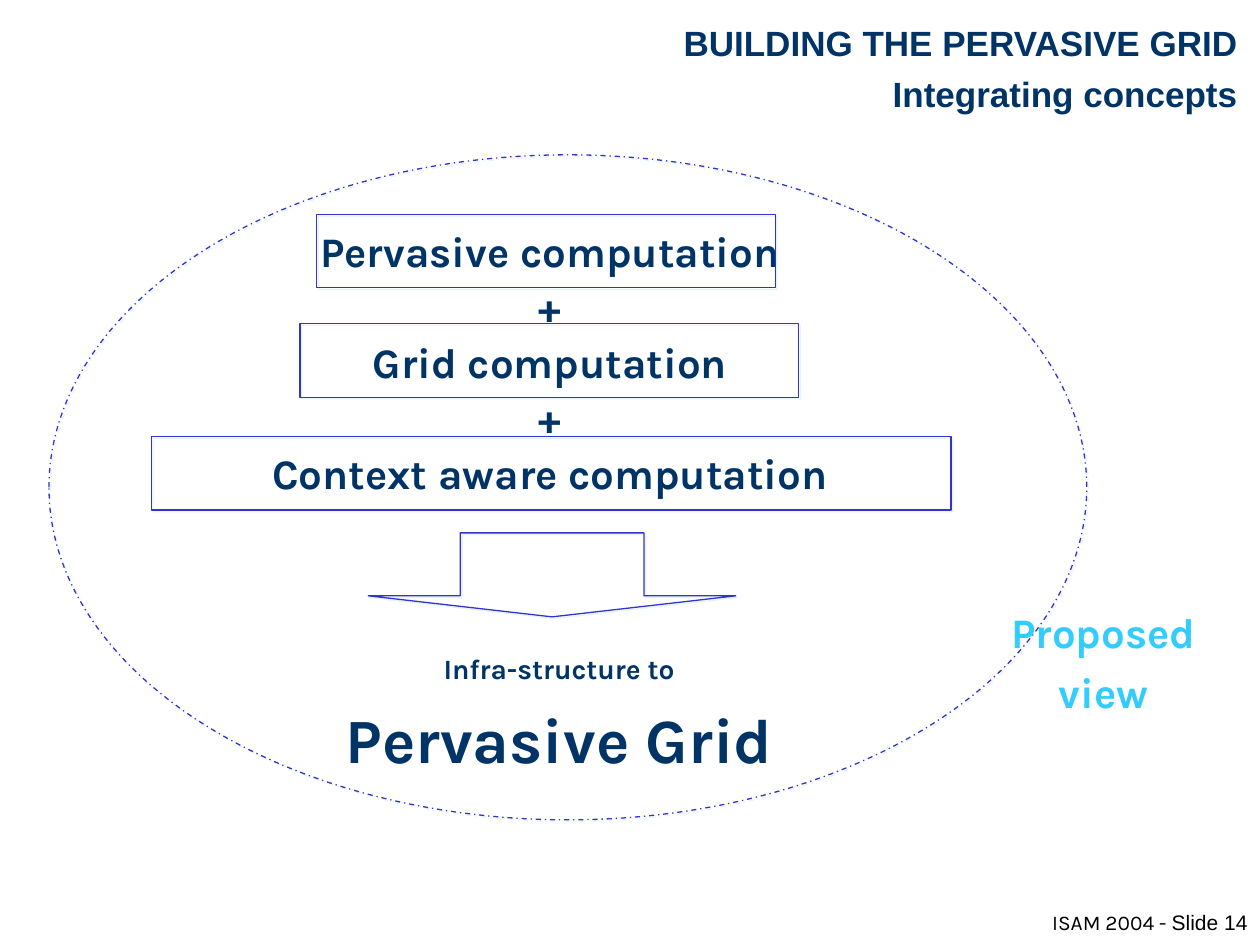
"""Build the slide that joins three kinds of computation into the pervasive grid."""
from copy import deepcopy
from typing import NamedTuple

from lxml import etree
from pptx import Presentation
from pptx.dml.color import RGBColor
from pptx.enum import dml, shapes, text
from pptx.oxml import ns
from pptx.util import Pt

NAVY = RGBColor(0x00, 0x33, 0x66)
BLUE = RGBColor(0x33, 0x33, 0xCC)
CYAN = RGBColor(0x33, 0xCC, 0xFF)
PALE = RGBColor(0xCC, 0xEC, 0xFF)
BLACK = RGBColor(0x00, 0x00, 0x00)
KIND = shapes.MSO_SHAPE
ALIGN = text.PP_ALIGN


class Box(NamedTuple):
    left: float
    top: float
    width: float
    height: float


class Run(NamedTuple):
    words: str
    size: float
    font: str = "Karla"
    color: RGBColor = NAVY
    bold: bool = True


class Form(NamedTuple):
    kind: KIND
    box: Box
    dash: bool = False


FORMS = [
    Form(KIND.DOWN_ARROW, Box(210.5, 304.5, 210, 48)),
    Form(KIND.RECTANGLE, Box(181, 122.5, 262, 42)),
    Form(KIND.RECTANGLE, Box(171.5, 185, 285, 42)),
    Form(KIND.RECTANGLE, Box(86.5, 249.5, 457, 42)),
    Form(KIND.OVAL, Box(28, 88.5, 593, 380), dash=True),
]


def place(shape, box: Box) -> None:
    """Move a shape to its box."""
    shape.left, shape.top, shape.width, shape.height = map(Pt, box)


def write(shape, runs: list[Run], align=ALIGN.CENTER, lead: float = 1.2,
          gap: float = 15, anchor=text.MSO_ANCHOR.TOP, right: float = 7.2) -> None:
    """Fill a shape with one paragraph of runs."""
    frame = shape.text_frame
    frame.word_wrap = True
    frame.auto_size = text.MSO_AUTO_SIZE.NONE
    frame.vertical_anchor = anchor
    frame.margin_left, frame.margin_right = Pt(7.2), Pt(right)
    frame.margin_top = frame.margin_bottom = Pt(3.6)
    para = frame.paragraphs[0]
    para.alignment, para.line_spacing, para.space_before = align, lead, Pt(gap)
    for item in runs:
        for row, words in enumerate(item.words.split("\n")):
            if row:
                para.add_line_break()
                para._p[-1].append(deepcopy(run._r.rPr))
            run = para.add_run()
            run.text = words
            font = run.font
            font.name, font.size, font.bold = item.font, Pt(item.size), item.bold
            font.color.rgb = item.color


def label(slide, box: Box, runs: list[Run], **style) -> None:
    """Add a text box with formatted text."""
    write(slide.shapes.add_textbox(*map(Pt, box)), runs, **style)


def draw(slide, form: Form) -> None:
    """Add an outlined shape with a pale offset shadow."""
    shape = slide.shapes.add_shape(form.kind, *map(Pt, form.box))
    if form.kind == KIND.DOWN_ARROW:
        shape.adjustments[0], shape.adjustments[1] = 0.5, 0.25
    shape.fill.background()
    shape.line.color.rgb = BLUE
    shape.line.width = Pt(0.75)
    if form.dash:
        shape.line.dash_style = dml.MSO_LINE.DASH_DOT
    shape.shadow.inherit = False
    effects = shape._element.spPr.find(ns.qn("a:effectLst"))
    shade = etree.SubElement(effects, ns.qn("a:outerShdw"), dist=str(Pt(1.4)),
                             dir="2700000", algn="ctr", rotWithShape="0")
    color = etree.SubElement(shade, ns.qn("a:srgbClr"), val=str(PALE))
    etree.SubElement(color, ns.qn("a:alpha"), val="50000")


def main() -> None:
    """Build and save the slide."""
    deck = Presentation()
    deck.slide_width, deck.slide_height = Pt(720), Pt(540)
    slide = deck.slides.add_slide(deck.slide_layouts[5])
    title = slide.shapes.title
    place(title, Box(119.5, 3, 600.5, 67))
    write(title, [Run("BUILDING THE PERVASIVE GRID\nIntegrating concepts", 20, "Arial")],
          align=ALIGN.RIGHT, gap=5, anchor=text.MSO_ANCHOR.MIDDLE, right=12.8)
    label(slide, Box(541.5, 516, 178.5, 22),
          [Run("ISAM 2004 - ", 12, color=BLACK, bold=False),
           Run("Slide 14", 12, "Arial", BLACK, False)],
          align=ALIGN.RIGHT, lead=1.0, gap=7.5)
    terms = ["Pervasive computation", "Grid computation", "Context aware computation"]
    label(slide, Box(67, 122.5, 494.5, 165.5), [Run("\n+\n".join(terms), 24)], lead=1.1)
    label(slide, Box(105, 365, 429, 82),
          [Run("Infra-structure to\n", 16), Run("Pervasive Grid", 36)], gap=9)
    for form in FORMS:
        draw(slide, form)
    label(slide, Box(566, 337, 129, 76), [Run("Proposed view", 24, color=CYAN)])
    deck.save("out.pptx")


if __name__ == "__main__":
    main()
